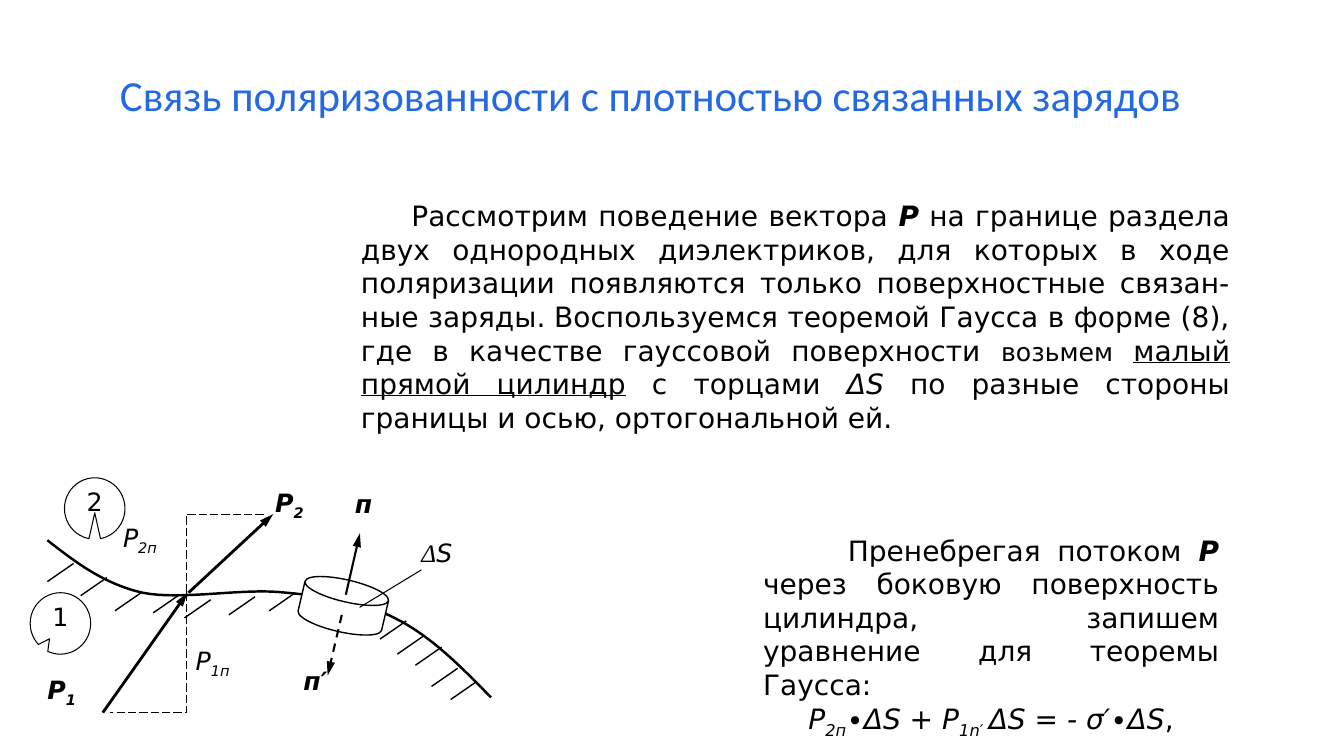
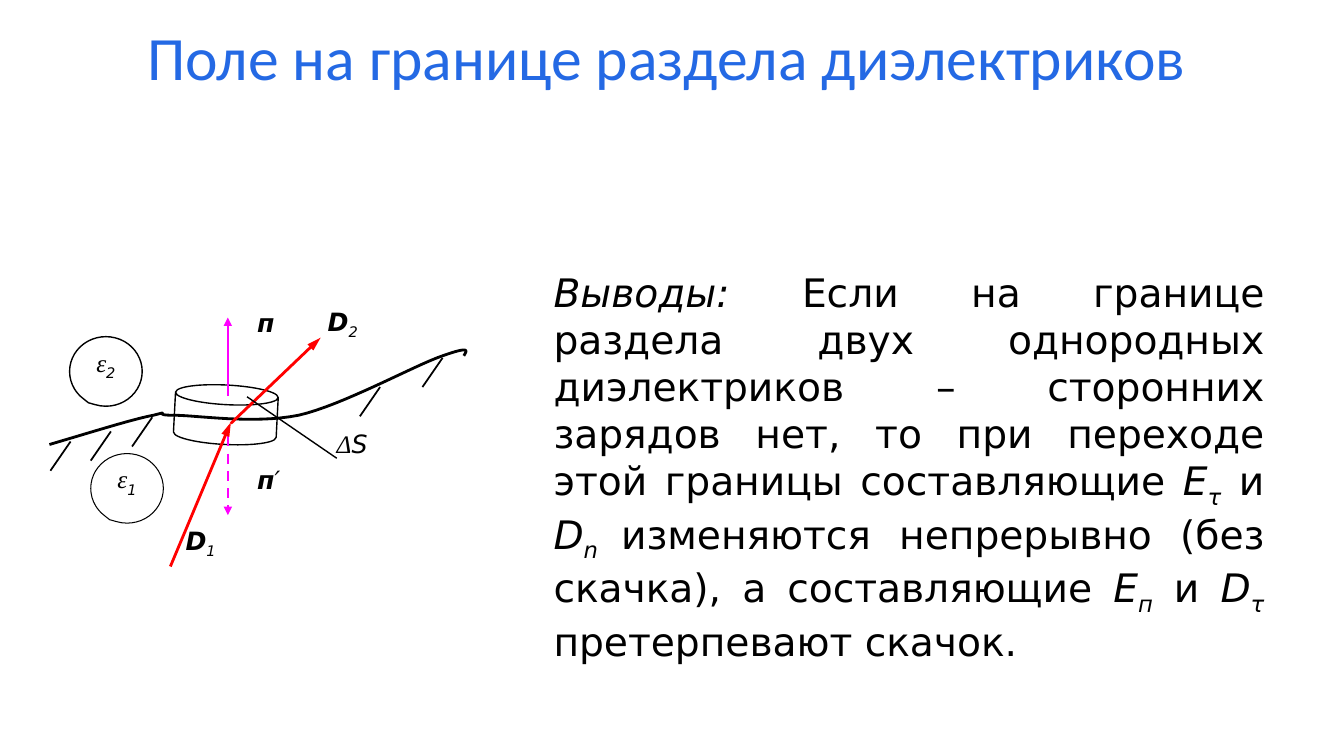
from dataclasses import dataclass

from lxml import etree
from pptx import Presentation
from pptx.dml.color import RGBColor
from pptx.enum.dml import MSO_LINE
from pptx.enum.shapes import MSO_CONNECTOR, MSO_SHAPE
from pptx.enum.text import MSO_ANCHOR, MSO_AUTO_SIZE, PP_ALIGN
from pptx.oxml.ns import qn
from pptx.util import Inches, Pt

LEFT, CENTER, JUSTIFY = PP_ALIGN.LEFT, PP_ALIGN.CENTER, PP_ALIGN.JUSTIFY
TOP, MIDDLE = MSO_ANCHOR.TOP, MSO_ANCHOR.MIDDLE
DASH, LONG_DASH = MSO_LINE.DASH, MSO_LINE.LONG_DASH
CAN, BUBBLE = MSO_SHAPE.CAN, MSO_SHAPE.OVAL_CALLOUT
LEADER = MSO_SHAPE.LINE_CALLOUT_1_NO_BORDER
STRAIGHT = MSO_CONNECTOR.STRAIGHT


@dataclass(frozen=True)
class Theme:
    title: RGBColor = RGBColor(0x24, 0x69, 0xE4)
    ink: RGBColor = RGBColor(0, 0, 0)
    paper: RGBColor = RGBColor(0xFF, 0xFF, 0xFF)
    normal: RGBColor = RGBColor(0xFF, 0, 0xFF)
    field: RGBColor = RGBColor(0xFF, 0, 0)
    title_font: str = "Calibri"
    text_font: str = "DejaVu Sans"
    greek_font: str = "Times New Roman"
    label_size: float = 18
    prose_size: float = 20
    summary_size: float = 28


T = Theme()
COLS, ROWS = 13.33, 7.5  # grid of the slide
CELL = Inches(1)


def grid(*cells):
    """Turn grid columns and rows into slide lengths."""
    return [round(c * CELL) for c in cells]


# Text

def add_runs(p, runs, size):
    """Flags: b bold, i italic, u underlined, v subscript, g Greek font, s small."""
    for text, flags in runs:
        r = p.add_run()
        r.text = text
        f = r.font
        f.name = T.greek_font if "g" in flags else T.text_font
        f.size = Pt(T.label_size if "s" in flags else size)
        f.color.rgb = T.ink
        f.bold, f.italic, f.underline = "b" in flags, "i" in flags, "u" in flags
        if "v" in flags:
            r._r.get_or_add_rPr().set("baseline", "-25000")


def add_title(slide, box, text, size, spacing, align):
    sp = slide.shapes.title
    sp.left, sp.top, sp.width, sp.height = grid(*box)
    tf = sp.text_frame
    tf.auto_size, tf.vertical_anchor = MSO_AUTO_SIZE.NONE, MIDDLE
    p = tf.paragraphs[0]
    p.alignment, p.line_spacing = align, spacing
    r = p.add_run()
    r.text = text
    r.font.name, r.font.size = T.title_font, Pt(size)
    r.font.color.rgb = T.title


def add_prose(sp, box, paragraphs, size):
    """Each paragraph is (alignment, first-line indent, runs)."""
    sp.left, sp.top, sp.width, sp.height = grid(*box)
    tf = sp.text_frame
    tf.word_wrap, tf.auto_size = True, MSO_AUTO_SIZE.NONE
    for n, (align, indent, runs) in enumerate(paragraphs):
        p = tf.add_paragraph() if n else tf.paragraphs[0]
        pPr = p._p.get_or_add_pPr()
        pPr.set("marL", "0")
        pPr.set("indent", str(grid(indent)[0]))
        etree.SubElement(pPr, qn("a:buNone"))
        p.alignment, p.space_before = align, Pt(0)
        add_runs(p, runs, size)


def fill_label(sp, runs, align=LEFT, bottom=0):
    tf = sp.text_frame
    tf.word_wrap, tf.vertical_anchor = True, TOP
    tf.margin_left = tf.margin_right = tf.margin_top = 0
    tf.margin_bottom = grid(bottom)[0]
    p = tf.paragraphs[0]
    p.alignment = align
    add_runs(p, runs, T.label_size)


def add_label(slide, x, y, runs, width=0.75, height=0.5):
    fill_label(slide.shapes.add_textbox(*grid(x, y, width, height)), runs)


# Drawing

def add_outline(slide, kind, box, adjust, weight, fill=None, turn=0):
    sp = slide.shapes.add_shape(kind, *grid(*box))
    sp.shadow.inherit = False
    sp.rotation = turn
    for n, value in enumerate(adjust):
        sp.adjustments[n] = value
    if fill is None:
        sp.fill.background()
    else:
        sp.fill.solid()
        sp.fill.fore_color.rgb = fill
    sp.line.color.rgb, sp.line.width = T.ink, Pt(weight)
    return sp


def add_line(slide, start, end, weight, color=T.ink, dash=None, arrow=None):
    """arrow is the length of the arrowhead at the end: med or lg."""
    cx = slide.shapes.add_connector(STRAIGHT, *grid(*start, *end))
    cx.line.color.rgb, cx.line.width = color, Pt(weight)
    if dash:
        cx.line.dash_style = dash
    if arrow:
        etree.SubElement(cx.line._get_or_add_ln(), qn("a:tailEnd"),
                         type="triangle", w="med", len=arrow)
    etree.SubElement(cx._element.spPr, qn("a:effectLst"))


def add_hatching(slide, starts, step, weight):
    for x, y in starts:
        add_line(slide, (x, y), (x + step[0], y + step[1]), weight)


def add_path(slide, points, weight, dash=None):
    first, *rest = [tuple(grid(*pt)) for pt in points]
    builder = slide.shapes.build_freeform(*first)
    builder.add_line_segments(rest, close=False)
    sp = builder.convert_to_shape()
    sp.shadow.inherit = False
    sp.fill.background()
    sp.line.color.rgb, sp.line.width = T.ink, Pt(weight)
    if dash:
        sp.line.dash_style = dash


def smooth(knots, steps=16):
    """Points on a chain of cubic curves: a start, then three knots a curve."""
    points = [knots[0]]
    for n in range(0, len(knots) - 1, 3):
        curve = knots[n:n + 4]
        for k in range(1, steps + 1):
            t = k / steps
            weights = ((1 - t) ** 3, 3 * t * (1 - t) ** 2,
                       3 * t * t * (1 - t), t ** 3)
            points.append(tuple(sum(w * pt[axis] for w, pt in zip(weights, curve))
                                for axis in (0, 1)))
    return points


# Slides

def polarization_slide(slide):
    add_title(slide, (1.09, 0.63, 10.76, 0.7),
              "Связь поляризованности с плотностью связанных зарядов",
              30.6, 0.8, LEFT)
    add_prose(slide.placeholders[1], (3.48, 1.92, 8.82, 2.43), [(JUSTIFY, 0.5, [
        ("Рассмотрим поведение вектора ", ""), ("Р", "bi"),
        (" на границе раздела двух однородных диэлектриков, для которых в ходе "
         "поляризации появляются только поверхностные связан-ные заряды.", ""),
        (" ", "s"),
        ("Воспользуемся теоремой Гаусса в форме (8), где в качестве гауссовой "
         "поверхности ", ""),
        ("возьмем", "s"), (" ", ""), ("малый прямой цилиндр", "u"),
        (" с торцами ", ""), ("ΔS ", "i"),
        ("по разные стороны границы и осью, ортогональной ей.", "")])],
        T.prose_size)
    add_prose(slide.shapes.add_textbox(0, 0, CELL, CELL), (7.47, 5.24, 4.72, 1.77), [
        (JUSTIFY, 0.84, [
            ("Пренебрегая потоком ", ""), ("Р", "bi"),
            (" через боковую поверхность цилиндра, запишем уравнение для "
             "теоремы Гаусса:", "")]),
        (CENTER, 0, [
            ("Р", "i"), ("2п", "iv"), ("∙ΔS + P", "i"), ("1n′ ", "iv"),
            ("ΔS = - σ′∙ΔS", "i"), (",", "")])],
        T.prose_size)

    # Boundary between the media
    add_path(slide, smooth([
        (0.47, 5.36), (0.74, 5.57), (1.02, 5.79), (1.41, 5.88),
        (1.8, 5.96), (2.41, 5.83), (2.83, 5.88),
        (3.25, 5.92), (3.59, 5.96), (3.93, 6.14),
        (4.27, 6.31), (4.57, 6.61), (4.87, 6.92)]), 1.75)
    stroke = (0.26, -0.18)
    add_hatching(slide, [
        (0.47, 5.77), (0.8, 5.91), (1.14, 6.06), (1.52, 6.08), (1.83, 6.13),
        (2.27, 6.1), (2.67, 6.06), (3.77, 6.34), (3.94, 6.49), (4.12, 6.6),
        (4.28, 6.81), (4.47, 6.94)], stroke, 1)
    add_hatching(slide, [(3.01, 6.08), (3.35, 6.16), (3.54, 6.24)], stroke, 0.75)
    for digit, x, y, tip in (("2", 0.64, 4.74, (0, 0.07)),
                             ("1", 0.3, 5.88, (-0.18, 0.25))):
        sp = add_outline(slide, BUBBLE, (x, y, 0.6, 0.61), tip, 0.75)
        fill_label(sp, [(digit, "")], CENTER)

    # Cylinder, vectors and their projections
    add_outline(slide, CAN, (2.98, 5.75, 0.85, 0.52), [0.42], 1, T.paper, 13.1)
    add_line(slide, (3.43, 5.9), (3.57, 5.29), 1.5, arrow="lg")
    add_line(slide, (3.39, 6.1), (3.25, 6.7), 1.5, dash=DASH, arrow="lg")
    add_line(slide, (1.87, 5.88), (2.71, 5.1), 2, arrow="lg")
    add_line(slide, (1.02, 7.07), (1.86, 5.88), 2, arrow="lg")
    for x, y in ((1.09, 7.07), (2.62, 5.1)):
        add_path(slide, [(1.85, 5.88), (1.85, y), (x, y)], 0.75, LONG_DASH)

    # Labels
    for x, y, name, index, flags in (
            (1.22, 5.18, "Р", "2п", "i"), (1.94, 6.4, "Р", "1п", "i"),
            (0.47, 6.69, "Р", "1", "bi"), (2.73, 4.83, "Р", "2", "bi")):
        add_label(slide, x, y, [(name, flags), (index, flags + "v")])
    add_label(slide, 3.01, 6.6, [("п′", "bi")])
    add_label(slide, 3.52, 4.84, [("п", "bi")])
    sp = add_outline(slide, LEADER, (4.18, 5.33, 0.52, 0.49),
                     (0.66, 0, 1.42, -1.18), 0.75)
    fill_label(sp, [("Δ", "ig"), ("S", "i")])


def boundary_field_slide(slide):
    add_title(slide, (0.17, 0.31, 12.89, 0.67),
              "Поле на границе раздела диэлектриков", 44, 0.7, CENTER)
    add_prose(slide.placeholders[1], (5.39, 2.61, 7.25, 3.87), [(JUSTIFY, 0, [
        ("Выводы: ", "i"),
        ("Если на границе раздела двух однородных диэлектриков – сторонних "
         "зарядов нет, то при переходе этой границы составляющие ", ""),
        ("Е", "i"), ("τ", "iv"), (" и ", ""), ("D", "i"), ("n ", "iv"),
        ("изменяются непрерывно (без скачка), а составляющие ", ""),
        ("Е", "i"), ("п", "iv"), (" и ", ""), ("D", "i"), ("τ ", "iv"),
        ("претерпевают скачок.", "")])],
        T.summary_size)

    # Cylinder and boundary between the media
    add_outline(slide, CAN, (1.73, 3.82, 1.02, 0.59), [0.33], 1, T.paper, 3)
    add_path(slide, smooth([
        (0.49, 4.41), (0.9, 4.29), (1.31, 4.16), (1.52, 4.12),
        (1.72, 4.07), (1.49, 4.12), (1.72, 4.12),
        (1.96, 4.12), (2.51, 4.21), (2.96, 4.12),
        (3.4, 4.02), (4.12, 3.62), (4.39, 3.53),
        (4.67, 3.43), (4.63, 3.48), (4.6, 3.53)]), 2)
    add_hatching(slide, [(0.7, 4.38), (1.1, 4.28), (1.51, 4.14), (3.77, 3.84),
                         (4.39, 3.55)], (-0.2, 0.29), 1.25)
    for index, x, y, weight in (("1", 0.9, 4.5, 0.75), ("2", 0.69, 3.34, 1)):
        sp = add_outline(slide, BUBBLE, (x, y, 0.72, 0.69), (-0.24, 0.45), weight)
        fill_label(sp, [("ε", "ig"), (index, "iv")], CENTER, 0.24)

    # Normals and field vectors
    add_line(slide, (2.26, 3.93), (2.26, 3.15), 1.75, T.normal, arrow="med")
    add_line(slide, (2.26, 4.33), (2.26, 5.11), 1.75, T.normal, DASH, "med")
    add_line(slide, (1.69, 5.62), (2.29, 4.19), 2, T.field, arrow="lg")
    add_line(slide, (2.29, 4.2), (3.18, 3.35), 2, T.field, arrow="lg")

    # Labels
    add_label(slide, 2.55, 3.05, [("п", "bi")])
    add_label(slide, 2.55, 4.61, [("п", "bi"), ("′", "i")])
    for index, x, y in (("2", 3.25, 3.04), ("1", 1.84, 5.21)):
        add_label(slide, x, y, [("D", "bi"), (index, "iv")])
    sp = add_outline(slide, LEADER, (3.34, 4.25, 0.64, 0.56),
                     (0.53, 0, -0.56, -1.39), 1)
    fill_label(sp, [("Δ", "ig"), ("Ѕ", "i")])


def main():
    prs = Presentation()
    prs.slide_width, prs.slide_height = grid(COLS, ROWS)
    for build in (polarization_slide, boundary_field_slide):
        build(prs.slides.add_slide(prs.slide_layouts[1]))
    prs.save("out.pptx")


if __name__ == "__main__":
    main()
